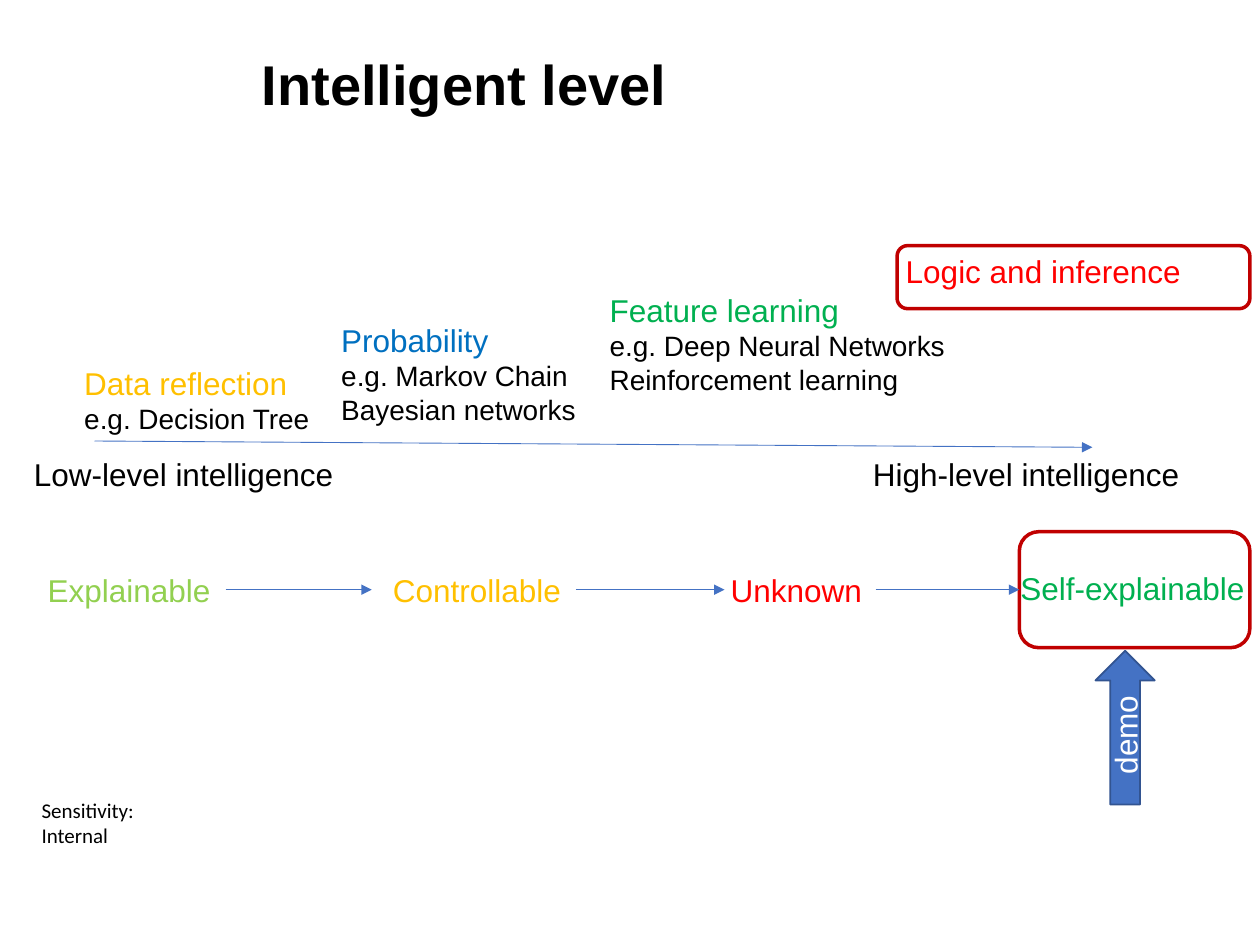
from dataclasses import dataclass

from lxml import etree
from pptx import Presentation
from pptx.dml.color import RGBColor
from pptx.enum.shapes import MSO_CONNECTOR, MSO_SHAPE
from pptx.enum.text import MSO_ANCHOR, PP_ALIGN
from pptx.oxml.ns import qn
from pptx.util import Inches, Pt

STRAIGHT = MSO_CONNECTOR.STRAIGHT
ROUNDED = MSO_SHAPE.ROUNDED_RECTANGLE
RIGHT_ARROW = MSO_SHAPE.RIGHT_ARROW
MIDDLE = MSO_ANCHOR.MIDDLE
CENTER = PP_ALIGN.CENTER
LEFT_SIDE, RIGHT_SIDE = 1, 3


@dataclass(frozen=True)
class Theme:
    font: str = "Arial"
    footer_font: str = "Calibri"
    title_size: int = 32
    label_size: int = 18
    example_size: int = 16
    footer_size: int = 12
    black: str = "000000"
    white: str = "FFFFFF"
    blue: str = "4472C4"
    dark_blue: str = "325491"
    probability: str = "0070C0"
    gold: str = "FFC000"
    green: str = "00B050"
    light_green: str = "92D050"
    red: str = "FF0000"
    frame: str = "C00000"


THEME = Theme()
ROW_TOP, ROW_MIDDLE = 4.48, 4.68

# heading, colour, left, top, width, height, examples
METHODS = [
    ("Data reflection", THEME.gold, 0.57, 2.84, 2.01, 0.67, ["e.g. Decision Tree"]),
    ("Probability", THEME.probability, 2.61, 2.5, 2.08, 0.94,
     ["e.g. Markov Chain", "Bayesian networks"]),
    ("Feature learning", THEME.green, 4.74, 2.26, 2.89, 0.94,
     ["e.g. Deep Neural Networks", "Reinforcement learning"]),
    ("Logic and inference", THEME.red, 7.09, 1.95, 2.4, 0.4, []),
]

# text, colour, left, width, end of the arrow that follows
STAGES = [
    ("Explainable", THEME.light_green, 0.28, 1.51, 2.95),
    ("Controllable", THEME.gold, 3.02, 1.55, 5.75),
    ("Unknown", THEME.red, 5.7, 1.25, 8.09),
]


def style(paragraph, size, color, font=THEME.font, bold=False):
    paragraph.font.name = font
    paragraph.font.size = Pt(size)
    paragraph.font.bold = bold
    paragraph.font.color.rgb = RGBColor.from_string(color)


def add_text(slide, box, text, color=THEME.black, examples=(), size=THEME.label_size,
             font=THEME.font, bold=False, wrap=False):
    """Add a text box: one main line, then smaller black example lines."""
    shape = slide.shapes.add_textbox(*map(Inches, box))
    frame = shape.text_frame
    frame.word_wrap = wrap
    paragraph = frame.paragraphs[0]
    paragraph.text = text
    style(paragraph, size, color, font, bold)
    for example in examples:
        paragraph = frame.add_paragraph()
        paragraph.text = example
        style(paragraph, THEME.example_size, THEME.black)
    return shape


def add_arrow(slide, start, end):
    connector = slide.shapes.add_connector(STRAIGHT, *map(Inches, (*start, *end)))
    connector.line.color.rgb = RGBColor.from_string(THEME.blue)
    connector.line.width = Pt(0.5)
    etree.SubElement(connector.line._get_or_add_ln(), qn("a:tailEnd"), type="triangle")
    etree.SubElement(connector._element.spPr, qn("a:effectLst"))
    return connector


def add_outlined_shape(slide, kind, box, color, width):
    shape = slide.shapes.add_shape(kind, *map(Inches, box))
    shape.shadow.inherit = False
    shape.fill.background()
    shape.line.color.rgb = RGBColor.from_string(color)
    shape.line.width = Pt(width)
    return shape


def add_demo_arrow(slide):
    shape = add_outlined_shape(slide, RIGHT_ARROW, (8.32, 5.54, 1.22, 0.47),
                               THEME.dark_blue, 1)
    shape.rotation = 270
    shape.fill.solid()
    shape.fill.fore_color.rgb = RGBColor.from_string(THEME.blue)
    shape.text_frame.vertical_anchor = MIDDLE
    paragraph = shape.text_frame.paragraphs[0]
    paragraph.text = "demo"
    paragraph.alignment = CENTER
    style(paragraph, THEME.label_size, THEME.white)


def add_footer(slide):
    shape = add_text(slide, (0.07, 6.33, 1.25, 0.4), "Sensitivity: Internal",
                     size=THEME.footer_size, font=THEME.footer_font, wrap=True)
    frame = shape.text_frame
    frame.vertical_anchor = MIDDLE
    frame.margin_left = Inches(0.26)
    frame.margin_top = frame.margin_right = frame.margin_bottom = 0


def add_intelligence_scale(slide):
    add_arrow(slide, (0.75, 3.5), (8.67, 3.55))
    add_text(slide, (0.17, 3.56, 2.6, 0.4), "Low-level intelligence")
    add_text(slide, (6.83, 3.56, 2.66, 0.4), "High-level intelligence")
    for heading, color, left, top, width, height, examples in METHODS:
        add_text(slide, (left, top, width, height), heading, color, examples)
    add_outlined_shape(slide, ROUNDED, (7.12, 1.95, 2.8, 0.5), THEME.frame, 2)


def add_explainability_row(slide):
    goal = add_outlined_shape(slide, ROUNDED, (8.09, 4.22, 1.83, 0.92), THEME.frame, 2)
    for text, color, left, width, arrow_end in STAGES:
        label = add_text(slide, (left, ROW_TOP, width, 0.4), text, color)
        arrow = add_arrow(slide, (left + width, ROW_MIDDLE), (arrow_end, ROW_MIDDLE))
        arrow.begin_connect(label, RIGHT_SIDE)
    arrow.end_connect(goal, LEFT_SIDE)
    add_text(slide, (8, 4.47, 2, 0.4), "Self-explainable", THEME.green)


def main():
    presentation = Presentation()
    presentation.slide_width = Inches(10)
    presentation.slide_height = Inches(7.5)
    slide = presentation.slides.add_slide(presentation.slide_layouts[6])
    add_footer(slide)
    title = add_text(slide, (1.98, 0.4, 7.33, 0.65), "Intelligent level",
                     size=THEME.title_size, bold=True, wrap=True)
    title.text_frame.paragraphs[0].line_spacing = 0.9
    add_intelligence_scale(slide)
    add_explainability_row(slide)
    add_demo_arrow(slide)
    presentation.save("out.pptx")


if __name__ == "__main__":
    main()
